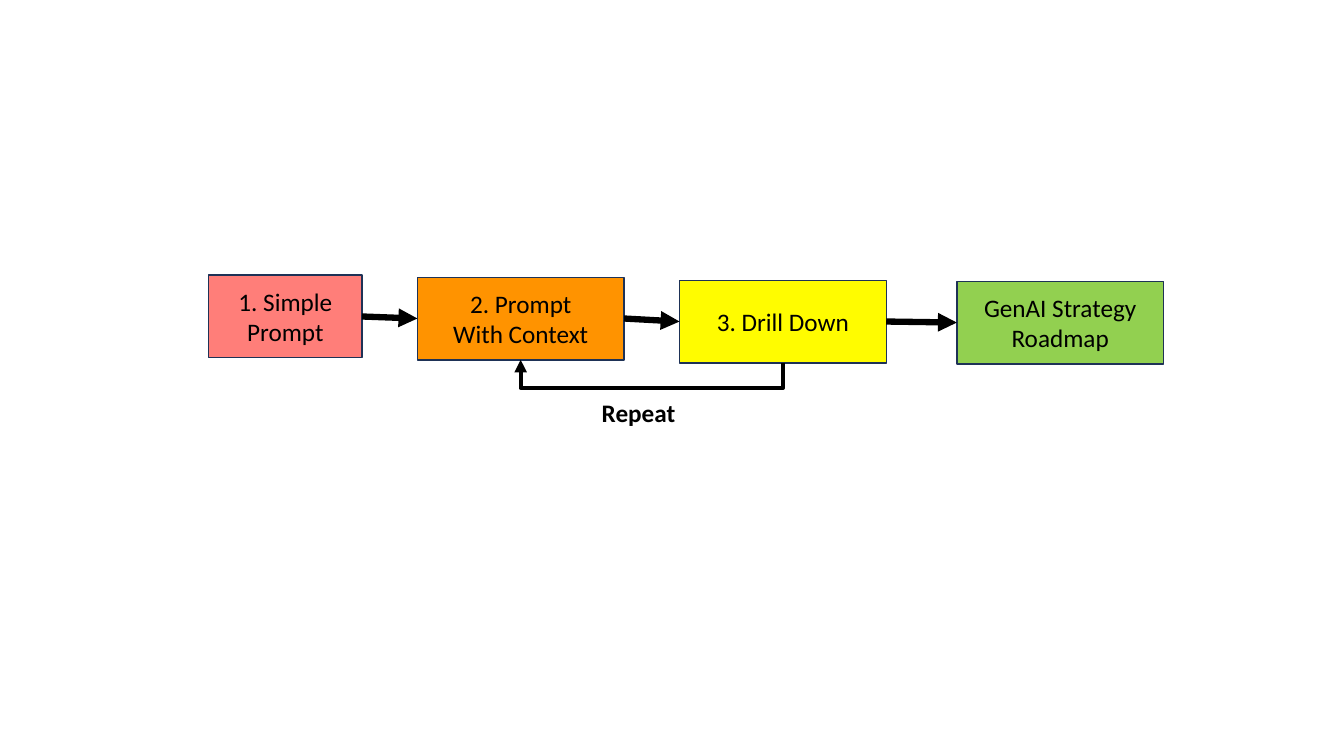
from dataclasses import dataclass
from itertools import pairwise

from lxml.etree import SubElement
from pptx import Presentation
from pptx.dml.color import RGBColor
from pptx.enum.shapes import MSO_CONNECTOR, MSO_SHAPE
from pptx.enum.text import MSO_ANCHOR, PP_ALIGN
from pptx.oxml.ns import qn
from pptx.shapes.autoshape import Shape
from pptx.shapes.connector import Connector
from pptx.slide import Slide
from pptx.text.text import TextFrame
from pptx.util import Inches, Pt

HIGH = 0.82
BOTTOM, LEFT, RIGHT = 2, 1, 3


@dataclass
class Step:
    text: str
    left: float
    top: float
    width: float
    fill: str


STEPS = [
    Step("1. Simple\nPrompt", 2.07, 2.73, 1.52, "FF7E79"),
    Step("2. Prompt\nWith Context", 4.14, 2.75, 2.05, "FF9300"),
    Step("3. Drill Down", 6.74, 2.78, 2.05, "FFFC00"),
    Step("GenAI Strategy\nRoadmap", 9.49, 2.79, 2.05, "92D050"),
]


def color(code: str) -> RGBColor:
    return RGBColor.from_string(code)


def style(frame: TextFrame, align: PP_ALIGN, bold: bool = False) -> None:
    for para in frame.paragraphs:
        para.alignment = align
        for run in para.runs:
            run.font.name = "Calibri"
            run.font.size = Pt(18)
            run.font.bold = bold
            run.font.color.rgb = color("000000")


def draw_step(slide: Slide, step: Step) -> Shape:
    box = slide.shapes.add_shape(
        MSO_SHAPE.RECTANGLE, Inches(step.left), Inches(step.top),
        Inches(step.width), Inches(HIGH))
    box.shadow.inherit = False
    box.fill.solid()
    box.fill.fore_color.rgb = color(step.fill)
    box.line.color.rgb = color("1E3256")
    box.line.width = Pt(1)
    box.text_frame.text = step.text
    box.text_frame.vertical_anchor = MSO_ANCHOR.MIDDLE
    style(box.text_frame, PP_ALIGN.CENTER)
    return box


def link(slide: Slide, kind: MSO_CONNECTOR, start: Shape, exit: int,
         end: Shape, entry: int, weight: float) -> Connector:
    arrow = slide.shapes.add_connector(kind, 0, 0, 0, 0)
    arrow.begin_connect(start, exit)
    arrow.end_connect(end, entry)
    arrow.line.color.rgb = color("000000")
    arrow.line.width = Pt(weight)
    SubElement(arrow.line._get_or_add_ln(), qn("a:tailEnd"), type="triangle")
    SubElement(arrow._element.spPr, qn("a:effectLst"))
    return arrow


def draw_loop(slide: Slide, start: Shape, end: Shape, drop: float) -> None:
    loop = link(slide, MSO_CONNECTOR.ELBOW, start, BOTTOM, end, BOTTOM, 3)
    mid_x = (loop.begin_x + loop.end_x) // 2
    mid_y = (loop.begin_y + loop.end_y) // 2
    span, rise = loop.width, loop.height
    loop.left, loop.top = mid_x - rise // 2, mid_y - span // 2
    loop.width, loop.height = rise, span
    props = loop._element.spPr
    props.xfrm.rot = 90
    props.xfrm.flipH, props.xfrm.flipV = True, False
    guides = props.find(qn("a:prstGeom")).get_or_add_avLst()
    ratio = round(-Inches(drop) / rise * 100000)
    SubElement(guides, qn("a:gd"), name="adj1", fmla=f"val {ratio}")


def draw_label(slide: Slide, text: str) -> None:
    label = slide.shapes.add_textbox(
        Inches(5.87), Inches(3.89), Inches(0.94), Inches(0.4))
    label.text_frame.word_wrap = False
    label.text_frame.text = text
    style(label.text_frame, PP_ALIGN.LEFT, bold=True)


def main() -> None:
    deck = Presentation()
    deck.slide_width, deck.slide_height = Inches(13.33), Inches(7.5)
    slide = deck.slides.add_slide(deck.slide_layouts[6])
    boxes = [draw_step(slide, step) for step in STEPS]
    for start, end in pairwise(boxes):
        link(slide, MSO_CONNECTOR.STRAIGHT, start, RIGHT, end, LEFT, 4.5)
    draw_loop(slide, boxes[2], boxes[1], 0.25)
    draw_label(slide, "Repeat")
    deck.save("out.pptx")


if __name__ == "__main__":
    main()
